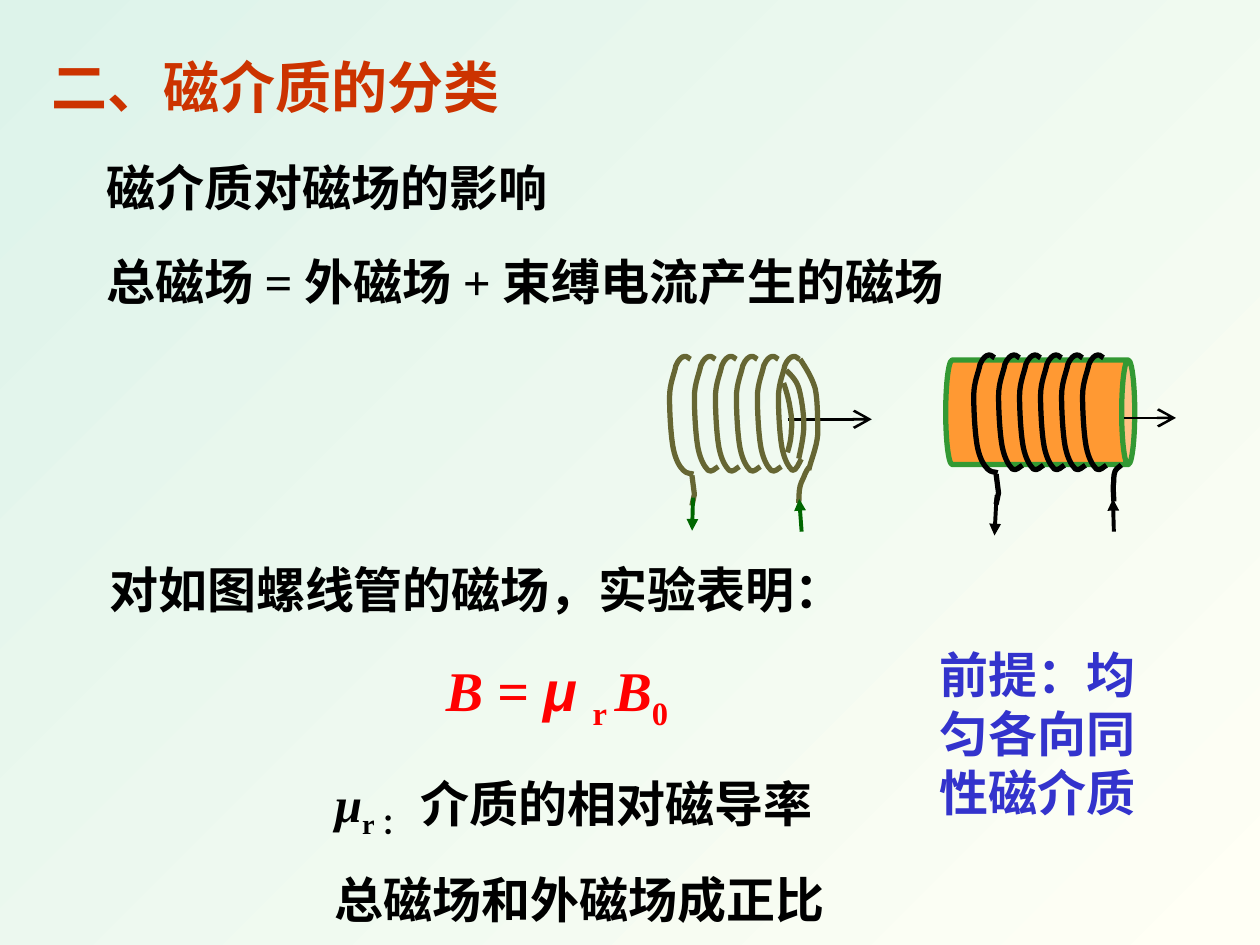
from lxml.etree import SubElement
from pptx import Presentation
from pptx.dml.color import RGBColor
from pptx.enum.shapes import MSO_CONNECTOR, MSO_SHAPE
from pptx.enum.text import MSO_AUTO_SIZE
from pptx.oxml.ns import qn
from pptx.util import Pt

OLIVE, GREEN, BLACK, RED = "666633", "006600", "000000", "FF0000"
TURN_TOP = [(12, 2), (11.5, 2), (10, 0), (8.6, 0.4), (7.2, 0.4), (5, 2.2), (3.6, 5.8),
            (2.9, 10), (0, 15.8), (0, 23.8), (0, 31.7), (0.7, 46), (2.2, 53.3),
            (3.6, 59.8), (5.8, 63.4), (7.9, 65.5)]
FIRST_END = [(10, 67.7), (12.2, 67), (13.7, 67.7)]
TURN_END = [(10, 67), (12.2, 64), (13.7, 63.4)]
OPEN_END = [(10, 66.2), (12.2, 60.5), (13, 59)]
LEAD = [(12.8, 68.4), (14.2, 79.2), (12.8, 85.7)]
AIR_CURVES = [
    [(462.2, 267.1), (461.5, 267.8), (460.8, 269.3), (460.1, 270.7), (459.4, 272.9),
     (457.9, 275), (457.2, 277.9), (456.5, 280.8), (456.5, 285.1), (456.5, 287.3)],
    [(457.2, 205.2), (458.6, 207.4), (463.7, 214.6), (465.8, 221.8), (467.3, 228.2),
     (467.3, 240.5), (467.3, 248.4), (466.6, 256.3), (463, 264.2), (462.2, 268.6)],
    [(449.3, 211.7), (450.7, 213.1), (455, 216.7), (456.5, 221.8), (457.9, 226.8),
     (459.4, 236.2), (459.4, 242.6), (459.4, 249.8), (457.2, 258.5), (456.5, 262.1)],
    [(447.8, 218.9), (448.6, 221), (450.7, 227.5), (451.4, 232.6), (452.2, 236.9),
     (452.9, 241.9), (452.2, 246.2), (452.2, 251.3), (450.7, 256.3), (450, 258.5)],
]
CORE_LEAD = [(640.8, 265.7), (640.1, 266.4), (637.9, 267.8), (637.2, 269.3), (636.5, 270.7),
             (636.5, 272.2), (636.5, 275), (635.8, 277.9), (636.5, 284.4), (636.5, 286.6)]


def color(value):
    """Turn a hex string into a colour."""
    return RGBColor.from_string(value)


class Deck:
    """Holds the style and the current slide."""

    def __init__(self):
        """Start the presentation with one blank slide."""
        self.prs = Presentation()
        self.prs.slide_width, self.prs.slide_height = Pt(720), Pt(540)
        self.s = self.prs.slides.add_slide(self.prs.slide_layouts[6])
        self.font = {"name": "Times New Roman", "size": Pt(28), "bold": True}

    def background(self, start, end):
        """Fill the background with a diagonal gradient."""
        fill = self.s.background.fill
        fill.gradient()
        fill.gradient_angle = 315
        for stop, value in zip(fill.gradient_stops, (start, end)):
            stop.color.rgb = color(value)

    def text(self, x, y, w, h, paragraphs, ink=BLACK, size=28, wrap=True, spacing=None, gap=0):
        """Add a text box; each run is its text and its own format."""
        tf = self.s.shapes.add_textbox(Pt(x), Pt(y), Pt(w), Pt(h)).text_frame
        tf.word_wrap = wrap
        tf.auto_size = MSO_AUTO_SIZE.SHAPE_TO_FIT_TEXT
        for i, runs in enumerate(paragraphs):
            p = tf.add_paragraph() if i else tf.paragraphs[0]
            p.line_spacing = spacing
            if i:
                p.space_before = Pt(gap)
            for words, extra in runs:
                r = p.add_run()
                r.text = words
                r.font.color.rgb = color(ink)
                style = {**self.font, "size": Pt(size), **extra}
                if style.pop("sub", False):
                    r.font._element.set("baseline", "-25000")
                for key, value in style.items():
                    setattr(r.font, key, value)

    def wire(self, points, ink, curved=True):
        """Draw an open outline, as cubic curves or as straight lines."""
        start, *rest = [(Pt(x), Pt(y)) for x, y in points]
        builder = self.s.shapes.build_freeform(*start, scale=1.0)
        builder.add_line_segments(rest, close=False)
        sp = builder.convert_to_shape()
        if curved:
            lines = list(sp._element.iter(qn("a:lnTo")))
            outline = lines[0].getparent()
            for i in range(0, len(lines), 3):
                curve = SubElement(outline, qn("a:cubicBezTo"))
                for line in lines[i:i + 3]:
                    curve.append(line[0])
                    outline.remove(line)
        sp.shadow.inherit = False
        sp.fill.background()
        sp.line.color.rgb = color(ink)
        sp.line.width = Pt(3)

    def coil(self, x, y, ink, last_end):
        """Draw six turns and the left lead."""
        lefts = [0] + [14.2 + 12 * i for i in range(5)]
        ends = [FIRST_END] + [TURN_END] * 4 + [last_end]
        for left, end in zip(lefts, ends):
            self.wire([(x + left + a, y + b) for a, b in TURN_TOP + end], ink)
        self.wire([(x + a, y + b) for a, b in LEAD], ink, curved=False)

    def arrow(self, x1, y1, x2, y2, ink=BLACK, width=2.25, head="triangle", span="med"):
        """Draw a straight arrow pointing at its second end."""
        sp = self.s.shapes.add_connector(MSO_CONNECTOR.STRAIGHT, Pt(x1), Pt(y1), Pt(x2), Pt(y2))
        sp.line.color.rgb = color(ink)
        sp.line.width = Pt(width)
        SubElement(sp.line._get_or_add_ln(), qn("a:tailEnd"), type=head, w=span, len=span)
        SubElement(sp._element.spPr, qn("a:effectLst"))

    def axis(self, x1, x2, y):
        """Draw a thin horizontal arrow with an open head."""
        self.arrow(x1, y, x2, y, width=1.5, head="arrow", span="lg")

    def core(self, x, y, w, h, fill, ink):
        """Add a cylinder lying on its side."""
        sp = self.s.shapes.add_shape(MSO_SHAPE.CAN, Pt(x), Pt(y), Pt(w), Pt(h))
        sp.rotation = 90
        sp.adjustments[0] = 0.125
        sp.shadow.inherit = False
        sp.fill.solid()
        sp.fill.fore_color.rgb = color(fill)
        sp.line.color.rgb = color(ink)
        sp.line.width = Pt(3)


def main():
    """Build the slide and save it."""
    deck = Deck()
    italic, sub = {"italic": True}, {"sub": True}
    deck.background("DDF3EA", "FFFFF5")
    deck.text(55.4, 316, 440.6, 41, [[("对如图螺线管的磁场，实验表明：", {})]], wrap=False)
    deck.text(247.7, 370.8, 185.8, 46, [[
        ("B", italic), (" = ", {}), ("μ ", {"name": "Arial", "italic": True}),
        ("r ", sub), ("B", italic), ("0", sub)]], RED, 32)
    deck.text(184.3, 442, 367.2, 94.3, [
        [("μ", italic), ("r ：", sub), (" 介质的相对磁导率", {})],
        [("总磁场和外磁场成正比", {})]], spacing=0.8, gap=27)
    deck.text(22.3, 26.6, 300.2, 45.4, [[("二、磁介质的分类", {})]], "CC3300", 32)
    deck.text(54, 92.9, 588.2, 88.6, [
        [("磁介质对磁场的影响", {})],
        [("总磁场 = 外磁场 + 束缚电流产生的磁场", {})]], spacing=0.8, gap=27)

    deck.coil(382.6, 203.3, OLIVE, OPEN_END)
    deck.axis(450, 498.2, 239.6)
    for curve in AIR_CURVES:
        deck.wire(curve, OLIVE)
    deck.arrow(396, 284.4, 395.5, 303.3, GREEN)
    deck.arrow(458.1, 303.8, 456.7, 285.1, GREEN)

    deck.core(564.5, 181.6, 59.8, 108, "FF9933", "339933")
    deck.coil(556.4, 202.5, BLACK, TURN_END)
    deck.wire(CORE_LEAD, BLACK)
    deck.axis(642.2, 672, 238.8)
    deck.arrow(569.5, 283, 568.3, 306)
    deck.arrow(636.5, 303.8, 636, 285.1)
    deck.text(529.9, 365, 141.8, 108.7, [[("前提：均匀各向同性磁介质", {})]], "3333CC")
    deck.prs.save("out.pptx")


if __name__ == "__main__":
    main()
